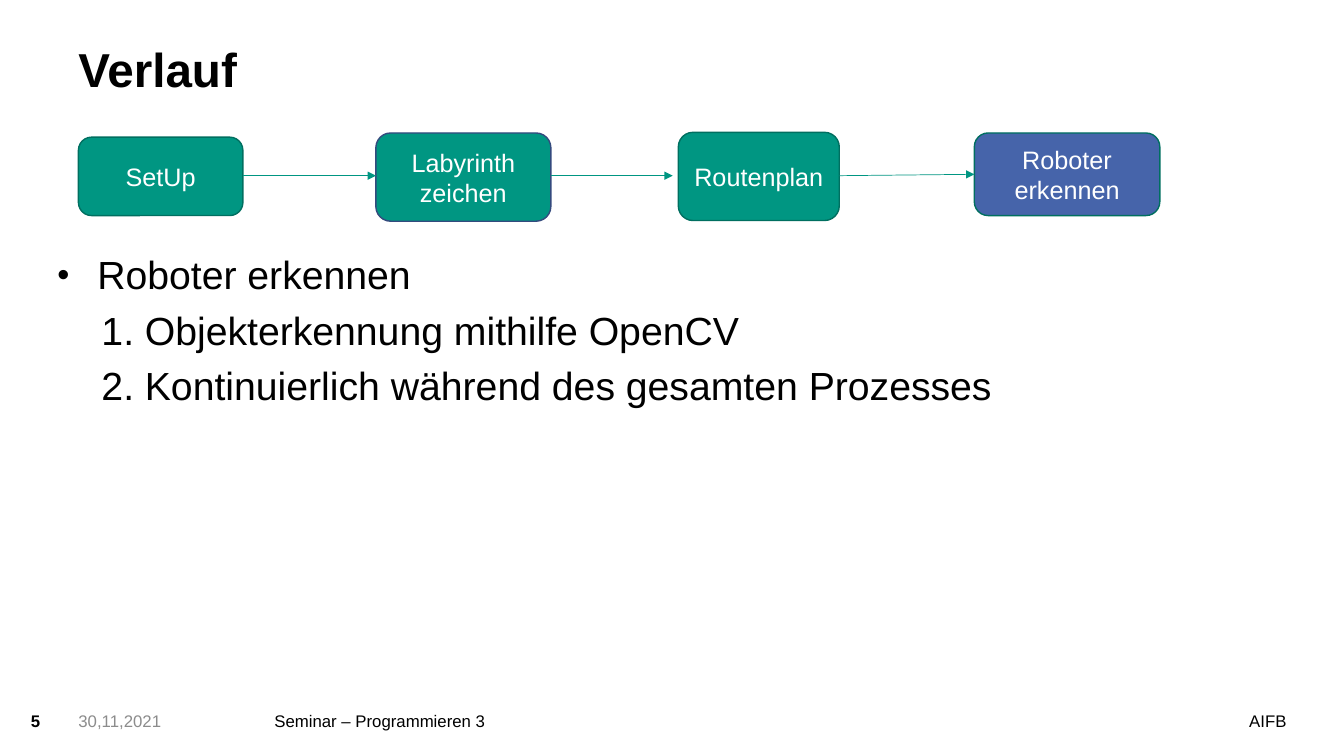
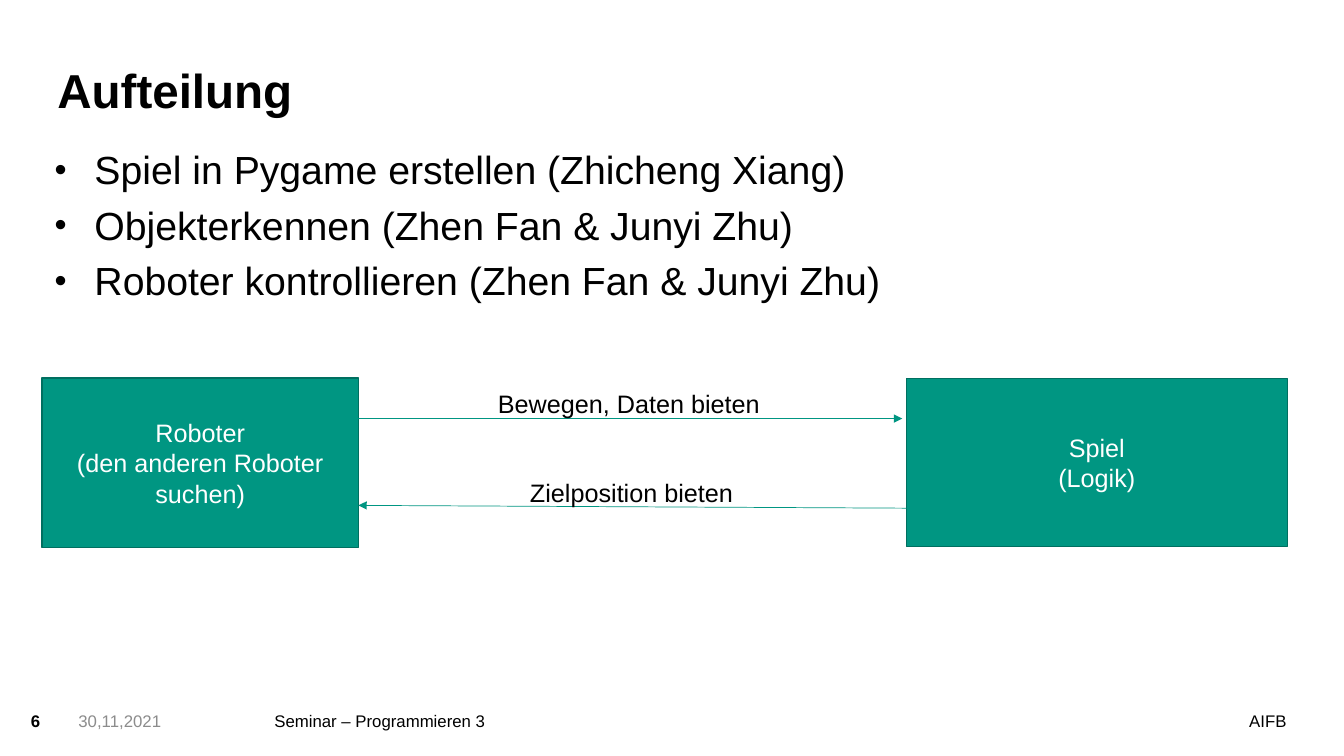
from dataclasses import dataclass

from lxml.etree import SubElement
from pptx import Presentation
from pptx.dml.color import RGBColor
from pptx.enum.shapes import MSO_CONNECTOR, MSO_SHAPE
from pptx.enum.text import MSO_ANCHOR, MSO_AUTO_SIZE, PP_ALIGN
from pptx.oxml.ns import qn
from pptx.util import Pt


@dataclass(frozen=True)
class Theme:
    font: str = "Arial"
    black: str = "000000"
    white: str = "FFFFFF"
    gray: str = "8C8C8C"
    green: str = "009682"
    edge: str = "006F60"
    blue: str = "4664AA"
    navy: str = "344A7E"
    title: int = 34
    body: int = 28
    label: int = 18
    foot: int = 12


theme = Theme()


def write(shape, text, size, color=theme.black, bold=False,
          align=PP_ALIGN.LEFT, anchor=MSO_ANCHOR.TOP, inset=None):
    """Fill a shape with styled text; inset None keeps the default margins."""
    frame = shape.text_frame
    frame.text = text
    frame.word_wrap = True
    frame.auto_size = MSO_AUTO_SIZE.NONE
    frame.vertical_anchor = anchor
    if inset is not None:
        frame.margin_left = frame.margin_right = Pt(inset)
        frame.margin_top = frame.margin_bottom = Pt(inset)
    for para in frame.paragraphs:
        para.alignment = align
        for run in para.runs:
            run.font.name = theme.font
            run.font.size = Pt(size)
            run.font.bold = bold
            run.font.color.rgb = RGBColor.from_string(color)


def place(shape, area):
    shape.left, shape.top, shape.width, shape.height = map(Pt, area)


round_box, square_box = MSO_SHAPE.FLOWCHART_ALTERNATE_PROCESS, MSO_SHAPE.RECTANGLE
bullet, number = "bullet", "number"

# Areas are left, top, width, height; arrows run from x, y to x, y.
pages = [
    dict(
        page="5",
        title=("Verlauf", (56, 20, 723, 50)),
        area=(41, 179, 878, 217),
        items=[
            ("Roboter erkennen", bullet),
            ("Objekterkennung mithilfe OpenCV", number),
            ("Kontinuierlich während des gesamten Prozesses", number),
        ],
        boxes=[
            ("SetUp", round_box, (56, 98, 117.5, 56), theme.green, theme.edge),
            ("Labyrinth\nzeichen", round_box, (268.5, 95, 125, 63), theme.green, theme.navy),
            ("Routenplan", round_box, (484.5, 94.5, 115, 63), theme.green, theme.edge),
            ("Roboter erkennen", round_box, (696, 95, 132.5, 59), theme.blue, theme.edge),
        ],
        arrows=[
            (173.5, 125.5, 268.5, 125.5),
            (393.5, 125.5, 480.5, 125.5),
            (599.5, 125.5, 696, 124.5),
        ],
        labels=[],
    ),
    dict(
        page="6",
        title=("Aufteilung", (41, 35, 747, 50)),
        area=(39, 104, 878, 120),
        items=[
            ("Spiel in Pygame erstellen (Zhicheng Xiang)", bullet),
            ("Objekterkennen (Zhen Fan & Junyi Zhu)", bullet),
            ("Roboter kontrollieren (Zhen Fan & Junyi Zhu)", bullet),
        ],
        boxes=[
            ("Roboter\n(den anderen Roboter suchen)", square_box, (30, 270, 226, 121),
             theme.green, theme.edge),
            ("Spiel\n(Logik)", square_box, (647.5, 270.5, 272, 120), theme.green, theme.edge),
        ],
        arrows=[(256, 299, 644.5, 299), (647.5, 363, 256, 361)],
        labels=[
            ("Bewegen, Daten bieten", (348.5, 273.5, 203, 29)),
            ("Zielposition bieten", (371.5, 337.5, 161, 29)),
        ],
    ),
]

deck = Presentation()
deck.slide_width, deck.slide_height = Pt(960), Pt(540)

for page in pages:
    slide = deck.slides.add_slide(deck.slide_layouts[1])
    shapes = slide.shapes

    text, area = page["title"]
    title = shapes.title
    place(title, area)
    write(title, text, theme.title, bold=True, anchor=MSO_ANCHOR.BOTTOM, inset=0)
    title.text_frame.paragraphs[0].line_spacing = 0.9

    body = slide.placeholders[1]
    place(body, page["area"])
    write(body, "\n".join(text for text, kind in page["items"]), theme.body, inset=0)
    for para, (text, kind) in zip(body.text_frame.paragraphs, page["items"]):
        para.space_before = Pt(6)
        props = para._p.get_or_add_pPr()
        left, hang = (28.5, 28.5) if kind == bullet else (62.5, 31)
        props.set("marL", str(Pt(left)))
        props.set("indent", str(-Pt(hang)))
        if kind == bullet:
            SubElement(props, qn("a:buSzPct"), val="88000")
            SubElement(props, qn("a:buFont"), typeface=theme.font)
            SubElement(props, qn("a:buChar"), char="•")
        else:
            SubElement(props, qn("a:buFont"), typeface=theme.font)
            SubElement(props, qn("a:buAutoNum"), type="arabicPeriod")

    for text, kind, area, fill, edge in page["boxes"]:
        box = shapes.add_shape(kind, *map(Pt, area))
        box.shadow.inherit = False
        box.fill.solid()
        box.fill.fore_color.rgb = RGBColor.from_string(fill)
        box.line.color.rgb = RGBColor.from_string(edge)
        box.line.width = Pt(1)
        write(box, text, theme.label, theme.white,
              align=PP_ALIGN.CENTER, anchor=MSO_ANCHOR.MIDDLE)

    for ends in page["arrows"]:
        arrow = shapes.add_connector(MSO_CONNECTOR.STRAIGHT, *map(Pt, ends))
        arrow.line.color.rgb = RGBColor.from_string(theme.green)
        arrow.line.width = Pt(0.5)
        SubElement(arrow.line._get_or_add_ln(), qn("a:tailEnd"), type="triangle")
        SubElement(arrow._element.spPr, qn("a:effectLst"))

    for text, area in page["labels"]:
        label = shapes.add_textbox(*map(Pt, area))
        write(label, text, theme.label)
        label.text_frame.word_wrap = False

    for text, left, width, color, bold, align in [
        (page["page"], 22, 34, theme.black, True, PP_ALIGN.LEFT),
        ("30,11,2021", 56, 134, theme.gray, False, PP_ALIGN.LEFT),
        ("Seminar – Programmieren 3", 196, 392, theme.black, False, PP_ALIGN.LEFT),
        ("AIFB", 594, 325, theme.black, False, PP_ALIGN.RIGHT),
    ]:
        foot = shapes.add_textbox(Pt(left), Pt(508), Pt(width), Pt(29))
        write(foot, text, theme.foot, color, bold, align, inset=0)

deck.save("out.pptx")
